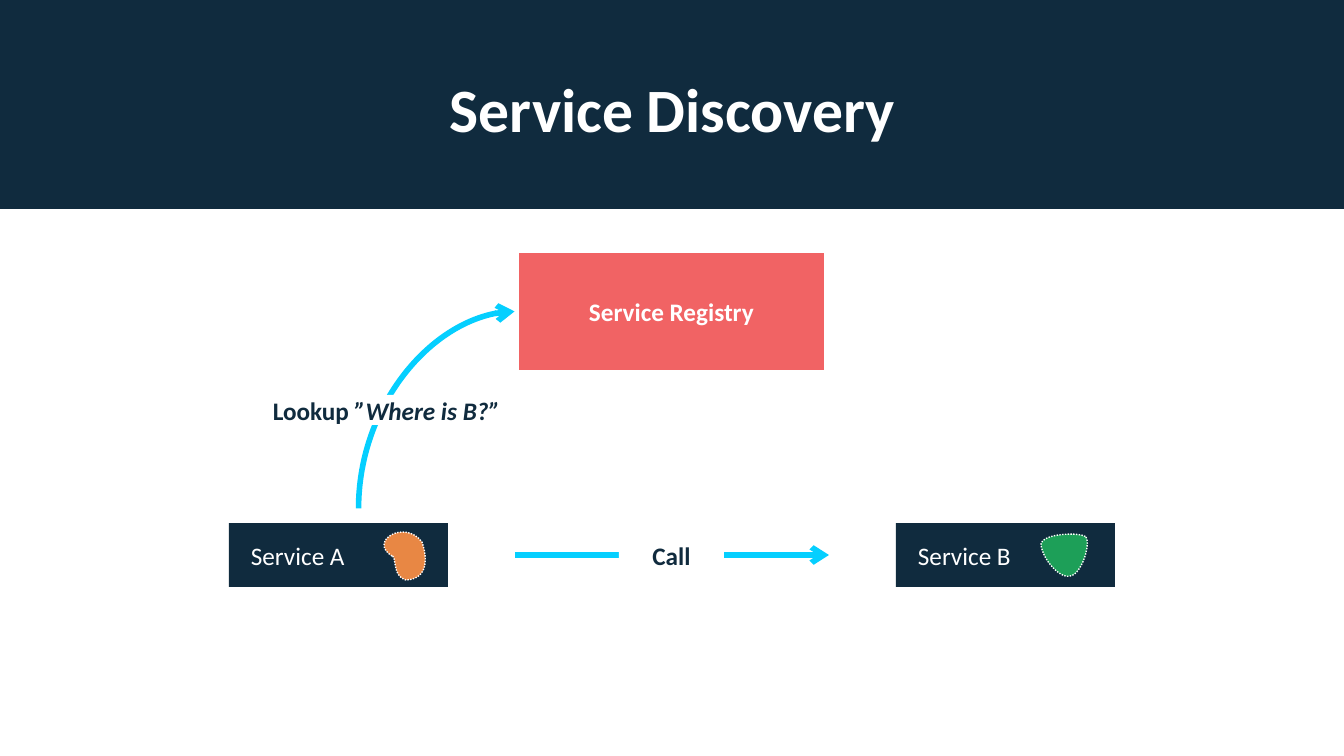
from dataclasses import dataclass

from lxml import etree
from pptx import Presentation
from pptx.dml.color import RGBColor
from pptx.enum.dml import MSO_LINE
from pptx.enum.shapes import MSO_CONNECTOR, MSO_SHAPE
from pptx.enum.text import MSO_ANCHOR, PP_ALIGN
from pptx.oxml.ns import qn
from pptx.shapes.autoshape import Shape
from pptx.shapes.connector import Connector
from pptx.shapes.shapetree import SlideShapes
from pptx.util import Emu, Pt

NAVY = RGBColor(0x10, 0x2B, 0x3E)
CORAL = RGBColor(0xF1, 0x63, 0x64)
CYAN = RGBColor(0x05, 0xCF, 0xFF)
ORANGE = RGBColor(0xE8, 0x87, 0x44)
GREEN = RGBColor(0x1D, 0x9F, 0x58)
WHITE = RGBColor(0xFF, 0xFF, 0xFF)

RECTANGLE = MSO_SHAPE.RECTANGLE
STRAIGHT = MSO_CONNECTOR.STRAIGHT
CURVE = MSO_CONNECTOR.CURVE
CENTER = PP_ALIGN.CENTER
LEFT = PP_ALIGN.LEFT
MIDDLE = MSO_ANCHOR.MIDDLE
ROUND_DOT = MSO_LINE.ROUND_DOT

FONT = "Calibri"
EMU_PER_PX = 914400 / 100.8
CURVE_STEPS = 16

Point = tuple[int, int]
Segment = tuple[Point, Point, Point]


@dataclass(frozen=True)
class Box:
    left: int
    top: int
    width: int
    height: int
    fill: RGBColor


@dataclass(frozen=True)
class Service:
    name: str
    left: int
    blob_color: RGBColor
    blob_start: Point
    blob_curves: tuple[Segment, ...]


SERVICES = (
    Service("Service A", 229, ORANGE, (392, 556), (
        ((368, 541), (405, 519), (422, 542)),
        ((426, 553), (431, 579), (406, 580)),
        ((392, 576), (397, 557), (392, 556)),
    )),
    Service("Service B", 896, GREEN, (1086, 537), (
        ((1091, 545), (1081, 575), (1070, 576)),
        ((1060, 579), (1042, 559), (1041, 544)),
        ((1043, 533), (1081, 532), (1086, 537)),
    )),
)


def px(value: float) -> Emu:
    return Emu(round(value * EMU_PER_PX))


def add_box(shapes: SlideShapes, box: Box) -> Shape:
    shape = shapes.add_shape(
        RECTANGLE, px(box.left), px(box.top), px(box.width), px(box.height))
    shape.shadow.inherit = False
    shape.fill.solid()
    shape.fill.fore_color.rgb = box.fill
    shape.line.fill.background()
    return shape


def write(shape: Shape, text: str, color: RGBColor, size: int = 18,
          bold: bool = True, align: PP_ALIGN = CENTER) -> None:
    frame = shape.text_frame
    frame.word_wrap = True
    frame.vertical_anchor = MIDDLE
    frame.text = text
    paragraph = frame.paragraphs[0]
    paragraph.alignment = align
    style_runs(shape, color, size, bold)


def style_runs(shape: Shape, color: RGBColor, size: int, bold: bool) -> None:
    for run in shape.text_frame.paragraphs[0].runs:
        run.font.name = FONT
        run.font.size = Pt(size)
        run.font.bold = bold
        run.font.color.rgb = color


def add_arrow(shapes: SlideShapes, kind: MSO_CONNECTOR,
              start: Point, end: Point) -> Connector:
    arrow = shapes.add_connector(kind, *map(px, start + end))
    arrow.line.color.rgb = CYAN
    arrow.line.width = Pt(4)
    properties = arrow._element.spPr
    etree.SubElement(properties.find(qn("a:ln")), qn("a:tailEnd"), type="arrow")
    etree.SubElement(properties, qn("a:effectLst"))
    return arrow


def bezier(start: Point, segment: Segment) -> list[tuple[Emu, Emu]]:
    points = []
    for step in range(1, CURVE_STEPS + 1):
        t = step / CURVE_STEPS
        weights = ((1 - t) ** 3, 3 * t * (1 - t) ** 2, 3 * t * t * (1 - t), t ** 3)
        x, y = (
            sum(weight * point[axis] for weight, point in zip(weights, (start, *segment)))
            for axis in (0, 1)
        )
        points.append((px(x), px(y)))
    return points


def add_service(shapes: SlideShapes, service: Service) -> None:
    card = add_box(shapes, Box(service.left, 523, 219, 64, NAVY))
    write(card, service.name, WHITE, bold=False, align=LEFT)
    card.text_frame.margin_left = px(22)

    start = service.blob_start
    outline = shapes.build_freeform(*map(px, start))
    for segment in service.blob_curves:
        outline.add_line_segments(bezier(start, segment), close=False)
        start = segment[-1]
    outline.add_line_segments([], close=True)
    blob = outline.convert_to_shape()
    blob.shadow.inherit = False
    blob.fill.solid()
    blob.fill.fore_color.rgb = service.blob_color
    blob.line.color.rgb = WHITE
    blob.line.width = Pt(1)
    blob.line.dash_style = ROUND_DOT


def main() -> None:
    presentation = Presentation()
    presentation.slide_width = px(1344)
    presentation.slide_height = px(756)
    shapes = presentation.slides.add_slide(presentation.slide_layouts[6]).shapes

    add_box(shapes, Box(0, 0, 1344, 209, NAVY))
    title = shapes.add_textbox(px(93), px(40), px(1159), px(146))
    write(title, "Service Discovery", WHITE, size=44)
    title.text_frame.paragraphs[0].line_spacing = 0.9

    registry = add_box(shapes, Box(515, 249, 313, 125, CORAL))
    registry.line.color.rgb = WHITE
    registry.line.width = Pt(5.5)
    write(registry, "Service Registry", WHITE)

    lookup_arrow = add_arrow(shapes, CURVE, (535, 488), (338, 332))
    lookup_properties = lookup_arrow._element.spPr
    lookup_properties.find(qn("a:xfrm")).set("rot", "5400000")
    lookup_properties.find(qn("a:prstGeom")).set("prst", "curvedConnector2")

    lookup = add_box(shapes, Box(258, 395, 257, 30, WHITE))
    write(lookup, "Lookup ", NAVY)
    question = lookup.text_frame.paragraphs[0].add_run()
    question.text = "”Where is B?”"
    question.font.italic = True
    style_runs(lookup, NAVY, 18, True)

    add_arrow(shapes, STRAIGHT, (515, 555), (829, 555))
    call = add_box(shapes, Box(619, 540, 105, 30, WHITE))
    write(call, "Call", NAVY)

    for service in SERVICES:
        add_service(shapes, service)

    presentation.save("out.pptx")


if __name__ == "__main__":
    main()
